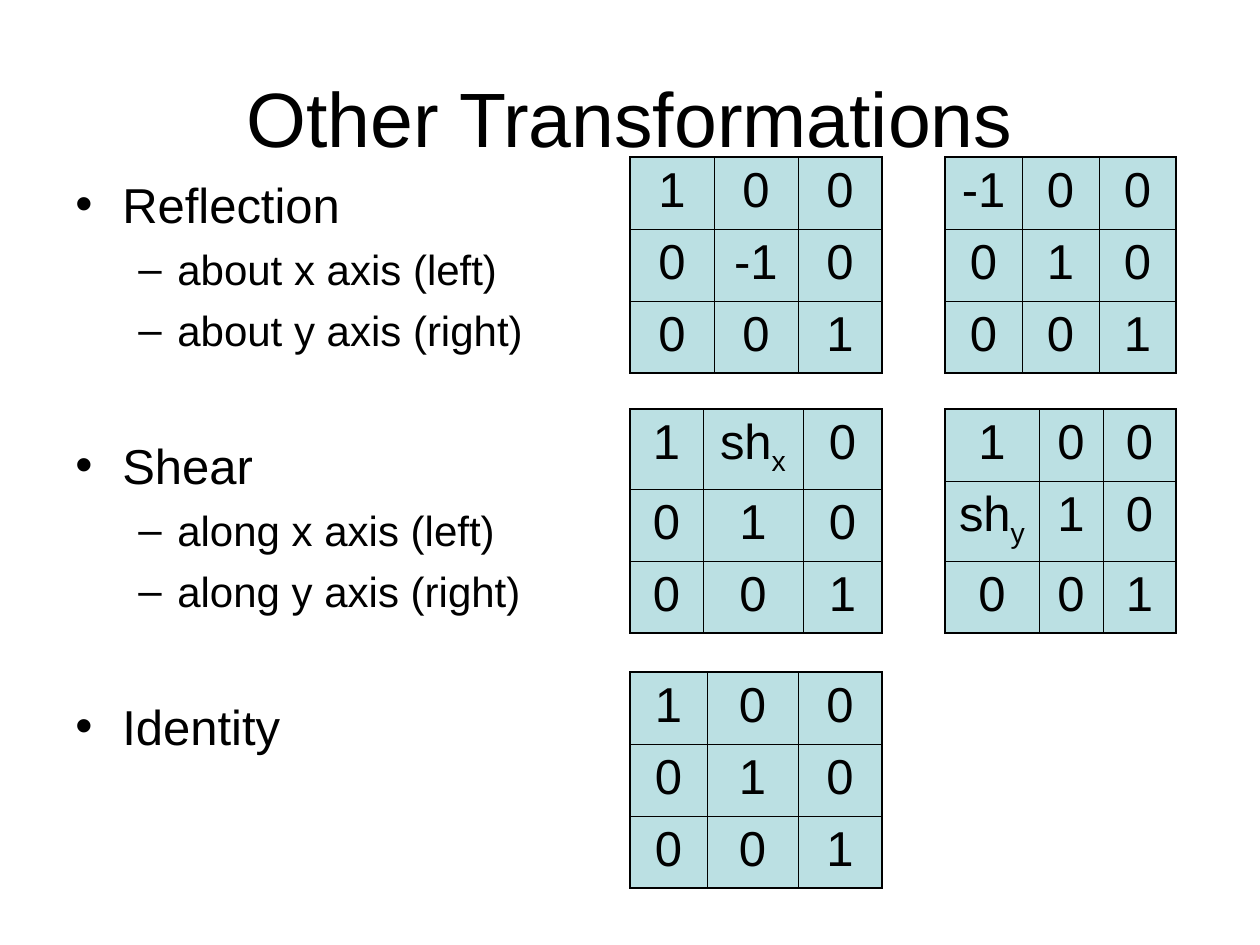
import pptx
import pptx.dml.color
import pptx.enum.text
import pptx.oxml
import pptx.oxml.ns
import pptx.util

PX = 914400 / 126
NS = pptx.oxml.ns.nsdecls("a")
CENTER = pptx.enum.text.PP_ALIGN.CENTER


def px(n):
    return pptx.util.Emu(round(n * PX))


def style(p, size, color="000000"):
    for r in p.runs:
        r.font.size = pptx.util.Pt(size)
        r.font.name = "Arial"
        r.font.color.rgb = pptx.dml.color.RGBColor.from_string(color)


prs = pptx.Presentation()
prs.slide_width, prs.slide_height = px(1260), px(945)
s = prs.slides.add_slide(prs.slide_layouts[6])

tf = s.shapes.add_textbox(px(63), px(38), px(1134), px(157)).text_frame
tf.word_wrap = True
tf.vertical_anchor = pptx.enum.text.MSO_ANCHOR.MIDDLE
tf.text = "Other Transformations"
p = tf.paragraphs[0]
p.alignment = CENTER
style(p, 44)

items = [
    (0, "Reflection", 0),
    (1, "about x axis (left)", 6),
    (1, "about y axis (right)", 6),
    (0, "Shear", 46),
    (1, "along x axis (left)", 6),
    (1, "along y axis (right)", 6),
    (0, "Identity", 46),
]
levels = [("•", 28, 47, 47), ("–", 24, 102, 39)]
tf = s.shapes.add_textbox(px(63), px(168), px(557), px(677)).text_frame
tf.word_wrap = True
for i, (level, text, before) in enumerate(items):
    p = tf.paragraphs[0] if i == 0 else tf.add_paragraph()
    char, size, margin, hang = levels[level]
    p.text = text
    p.level = level
    pPr = p._p.get_or_add_pPr()
    pPr.set("marL", str(px(margin)))
    pPr.set("indent", str(-px(hang)))
    pPr.append(pptx.oxml.parse_xml(f'<a:buFont {NS} typeface="Arial"/>'))
    pPr.append(pptx.oxml.parse_xml(f'<a:buChar {NS} char="{char}"/>'))
    p.space_before = pptx.util.Pt(before)
    style(p, size)

matrices = [
    (945, 157, [77, 77, 77], [72, 72, 72], ["-1 0 0", "0 1 0", "0 0 1"]),
    (630, 157, [84, 84, 84], [72, 72, 72], ["1 0 0", "0 -1 0", "0 0 1"]),
    (630, 409, [73, 100, 79], [80, 72, 72], ["1 sh_x 0", "0 1 0", "0 0 1"]),
    (630, 672, [77, 91, 84], [72, 72, 72], ["1 0 0", "0 1 0", "0 0 1"]),
    (945, 409, [94, 64, 73], [72, 80, 72], ["1 0 0", "sh_y 1 0", "0 0 1"]),
]
for x, y, widths, heights, rows in matrices:
    tbl = s.shapes.add_table(3, 3, px(x), px(y), px(sum(widths)), px(sum(heights))).table
    tbl.first_row = tbl.horz_banding = False
    for i in range(3):
        tbl.columns[i].width = px(widths[i])
        tbl.rows[i].height = px(heights[i])
    for i, row in enumerate(rows):
        for j, value in enumerate(row.split()):
            cell = tbl.cell(i, j)
            base, _, sub = value.partition("_")
            cell.text_frame.text = base
            p = cell.text_frame.paragraphs[0]
            p.alignment = CENTER
            if sub:
                r = p.add_run()
                r.text = sub
                r._r.get_or_add_rPr().set("baseline", "-25000")
            style(p, 28)
            tcPr = cell._tc.get_or_add_tcPr()
            for side, outer in (("L", j == 0), ("R", j == 2), ("T", i == 0), ("B", i == 2)):
                width = pptx.util.Pt(1.08 if outer else 0.45)
                tcPr.append(pptx.oxml.parse_xml(
                    f'<a:ln{side} {NS} w="{width}"><a:solidFill>'
                    f'<a:srgbClr val="000000"/></a:solidFill></a:ln{side}>'))
            cell.fill.solid()
            cell.fill.fore_color.rgb = pptx.dml.color.RGBColor.from_string("BBE0E3")

prs.save("out.pptx")
